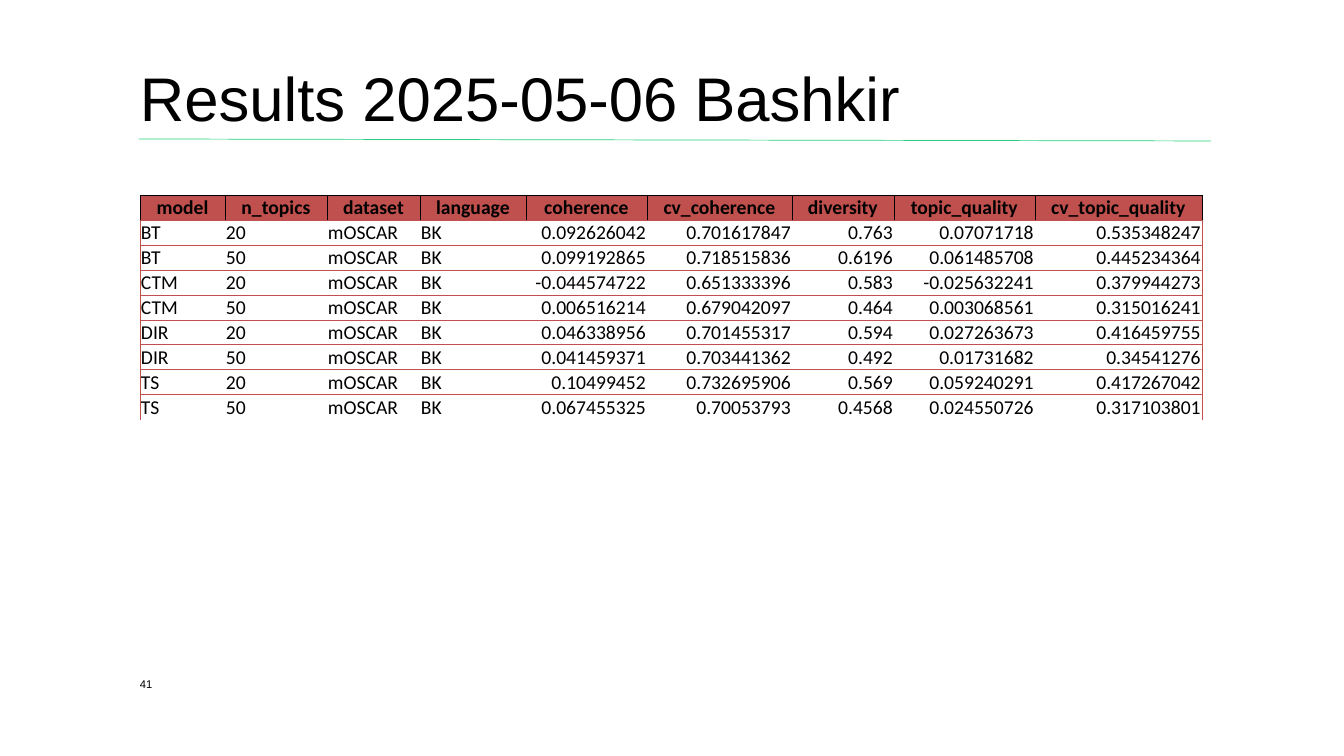
from lxml import etree
from pptx import Presentation
from pptx.dml.color import RGBColor
from pptx.enum.shapes import MSO_CONNECTOR
from pptx.enum.text import MSO_ANCHOR, PP_ALIGN
from pptx.oxml.ns import qn
from pptx.util import Pt

LEFT, CENTER, RIGHT = PP_ALIGN.LEFT, PP_ALIGN.CENTER, PP_ALIGN.RIGHT
TOP, BOTTOM = MSO_ANCHOR.TOP, MSO_ANCHOR.BOTTOM
STRAIGHT = MSO_CONNECTOR.STRAIGHT
EMU_PER_PX = 914400 / 100.8
NO_STYLE = "{2D5ABB26-0587-4C30-8999-92F81FD0307C}"
COLORS = {"text": "000000", "accent": "C0504D", "rule": "26D07C"}


def px(value):
    return round(value * EMU_PER_PX)


def write(text_frame, text, size, font="Arial", bold=False, align=LEFT, spacing=1.0):
    paragraph = text_frame.paragraphs[0]
    paragraph.alignment = align
    paragraph.line_spacing = spacing
    run = paragraph.add_run()
    run.text = text
    run.font.name = font
    run.font.size = Pt(size)
    run.font.bold = bold
    run.font.color.rgb = RGBColor.from_string(COLORS["text"])


presentation = Presentation()
presentation.slide_width = px(1344)
presentation.slide_height = px(756)
slide = presentation.slides.add_slide(presentation.slide_layouts[6])

rule = slide.shapes.add_connector(STRAIGHT, px(139), px(139), px(1211), px(141))
rule.line.color.rgb = RGBColor.from_string(COLORS["rule"])
rule.line.width = Pt(0.5)
etree.SubElement(rule.element.spPr, qn("a:effectLst"))

text_boxes = [
    ("Results 2025-05-06 Bashkir", (140, 40, 1070, 95), 44, 0.9),
    ("41", (140, 665, 50, 26), 8, 1.0),
]
for text, bounds, size, spacing in text_boxes:
    text_frame = slide.shapes.add_textbox(*map(px, bounds)).text_frame
    text_frame.word_wrap = True
    text_frame.vertical_anchor = BOTTOM
    text_frame.margin_left = text_frame.margin_right = 0
    text_frame.margin_top = text_frame.margin_bottom = 0
    write(text_frame, text, size, spacing=spacing)

headers = ["model", "n_topics", "dataset", "language", "coherence", "cv_coherence",
           "diversity", "topic_quality", "cv_topic_quality"]
results = [
    ("BT", "20", "0.092626042", "0.701617847", "0.763", "0.07071718", "0.535348247"),
    ("BT", "50", "0.099192865", "0.718515836", "0.6196", "0.061485708", "0.445234364"),
    ("CTM", "20", "-0.044574722", "0.651333396", "0.583", "-0.025632241", "0.379944273"),
    ("CTM", "50", "0.006516214", "0.679042097", "0.464", "0.003068561", "0.315016241"),
    ("DIR", "20", "0.046338956", "0.701455317", "0.594", "0.027263673", "0.416459755"),
    ("DIR", "50", "0.041459371", "0.703441362", "0.492", "0.01731682", "0.34541276"),
    ("TS", "20", "0.10499452", "0.732695906", "0.569", "0.059240291", "0.417267042"),
    ("TS", "50", "0.067455325", "0.70053793", "0.4568", "0.024550726", "0.317103801"),
]
rows = [headers] + [[*result[:2], "mOSCAR", "BK", *result[2:]] for result in results]
column_widths = [85, 102, 93, 106, 121, 145, 102, 141, 167]
row_height = 25
last_row, last_column = len(rows) - 1, len(headers) - 1

table_frame = slide.shapes.add_table(
    len(rows), len(headers), px(140), px(195), px(sum(column_widths)), px(row_height * len(rows)))
table = table_frame.table
table.horz_banding = False
next(table_frame.element.iter(qn("a:tableStyleId"))).text = NO_STYLE
for column, width in zip(table.columns, column_widths):
    column.width = px(width)

for row_index, row in enumerate(rows):
    table.rows[row_index].height = px(row_height)
    is_header = row_index == 0
    for column_index, text in enumerate(row):
        cell = table.cell(row_index, column_index)
        cell.margin_left = cell.margin_right = cell.margin_top = px(1)
        cell.margin_bottom = 0
        cell.vertical_anchor = TOP if is_header else BOTTOM
        align = CENTER if is_header else LEFT if column_index < 4 else RIGHT
        write(cell.text_frame, text, 14, font="Calibri", bold=is_header, align=align)

        header_color = COLORS["text"] if is_header else None
        borders = {
            "a:lnL": header_color or (COLORS["accent"] if column_index == 0 else None),
            "a:lnR": header_color or (COLORS["accent"] if column_index == last_column else None),
            "a:lnT": header_color or COLORS["accent"],
            "a:lnB": COLORS["accent"] if row_index < last_row else None,
        }
        properties = cell._tc.get_or_add_tcPr()
        for tag, color in borders.items():
            if color:
                border = etree.SubElement(properties, qn(tag), w=str(Pt(0.5)))
                fill = etree.SubElement(border, qn("a:solidFill"))
                etree.SubElement(fill, qn("a:srgbClr"), val=color)
        if is_header:
            cell.fill.solid()
            cell.fill.fore_color.rgb = RGBColor.from_string(COLORS["accent"])
        else:
            cell.fill.background()

presentation.save("out.pptx")
